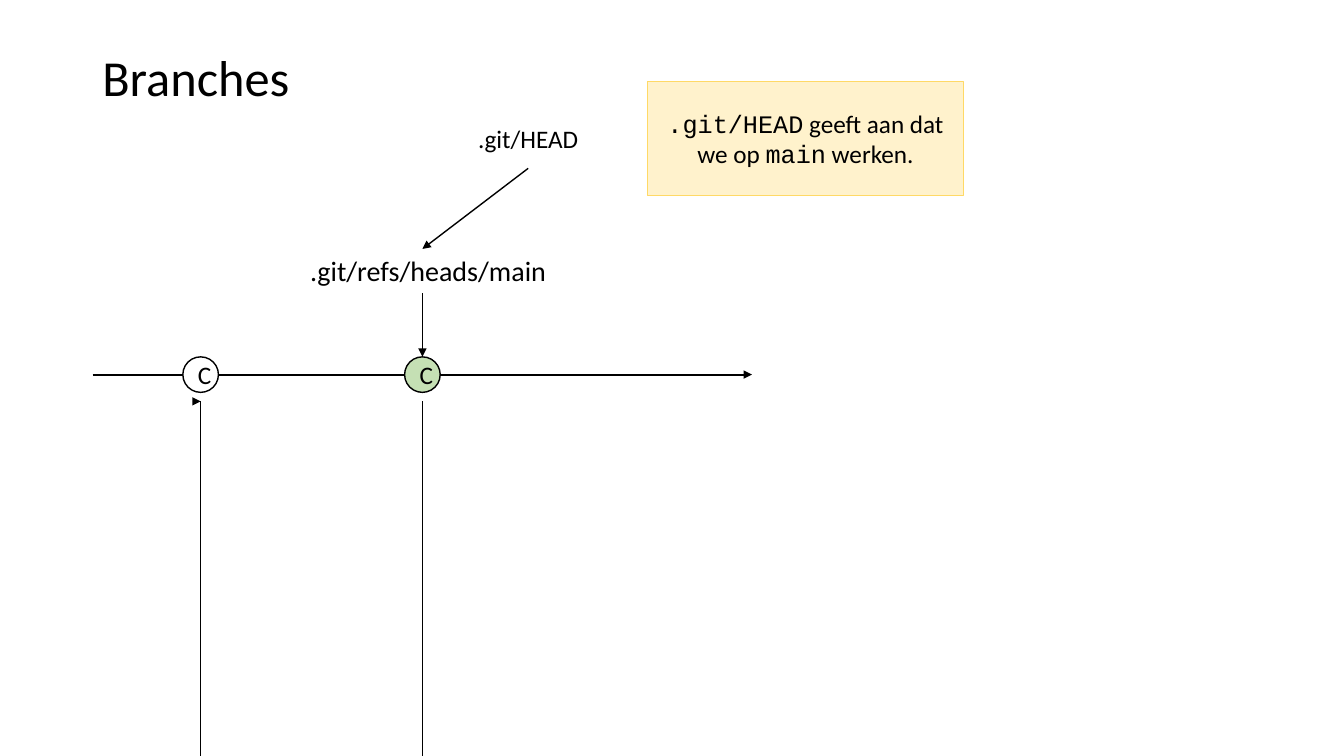
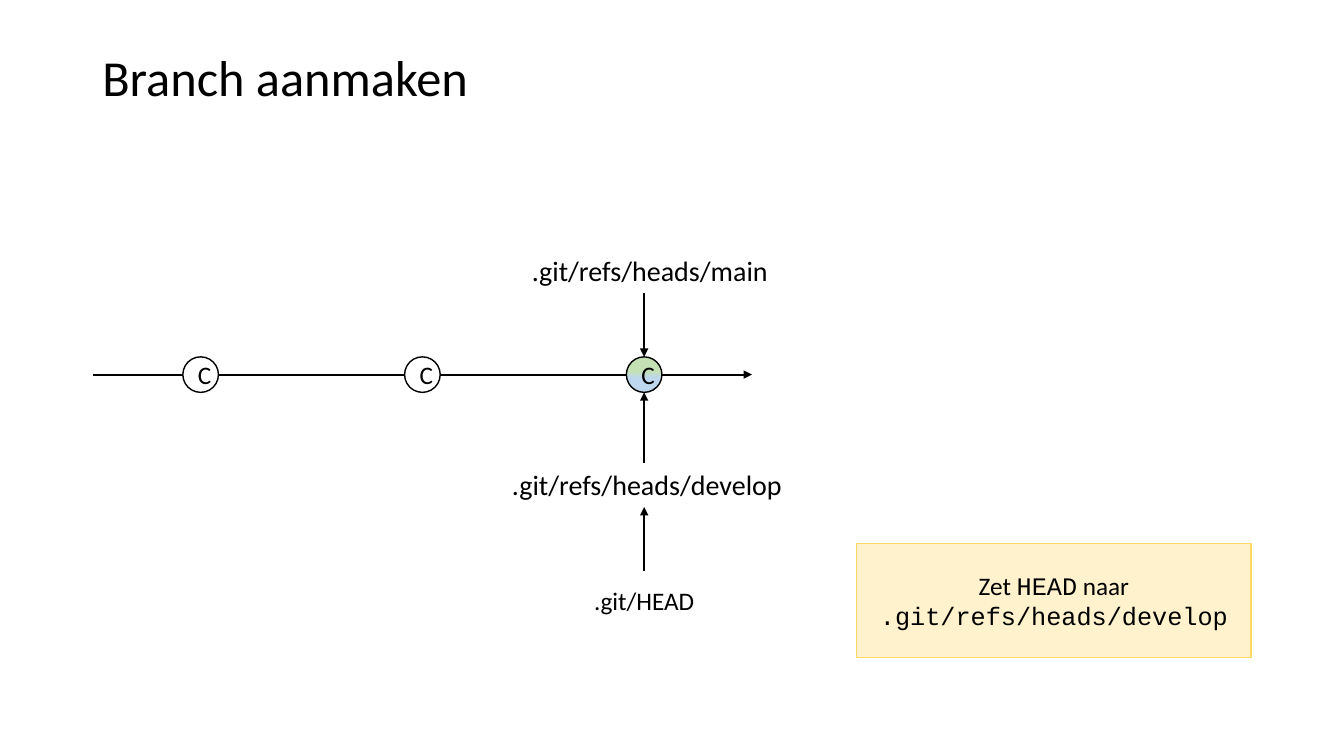
import pptx
import pptx.util
import pptx.dml.color
import pptx.enum.shapes
import pptx.enum.text
import pptx.oxml.ns
import lxml.etree

RGBColor = pptx.dml.color.RGBColor
BLACK = RGBColor(0x00, 0x00, 0x00)
WHITE = RGBColor(0xFF, 0xFF, 0xFF)
GREEN = RGBColor(0xC5, 0xE0, 0xB4)
BLUE = RGBColor(0xBD, 0xD7, 0xEE)
CREAM = RGBColor(0xFF, 0xF2, 0xCC)
GOLD = RGBColor(0xFF, 0xD9, 0x66)

BODY, CODE = "Calibri", "Courier New"
RECTANGLE = pptx.enum.shapes.MSO_SHAPE.RECTANGLE
OVAL = pptx.enum.shapes.MSO_SHAPE.OVAL
ALIGN = pptx.enum.text.PP_ALIGN
ANCHOR = pptx.enum.text.MSO_ANCHOR

deck = pptx.Presentation()
deck.slide_width = pptx.util.Inches(13.333)
deck.slide_height = pptx.util.Inches(7.5)

# Grid: all lengths are percentages of the slide's width or height
X, Y = deck.slide_width / 100, deck.slide_height / 100
COMMIT_COLUMNS = [14.93 + 16.5 * column for column in range(3)]
AXIS = 49.55
COMMIT_WIDTH, COMMIT_HEIGHT = 2.65, 4.7
COMMIT_TOP, COMMIT_BOTTOM = AXIS - COMMIT_HEIGHT / 2, AXIS + COMMIT_HEIGHT / 2
REF_HEIGHT = 5.87
MAIN_TOP, DEVELOP_TOP = 32.93, 61.2
HEAD_WIDTH, HEAD_HEIGHT = 14.7, 7.87
NOTE_HEIGHT = 15.07

# Text formats
TITLE = {"size": 36, "align": ALIGN.LEFT, "anchor": ANCHOR.MIDDLE, "spacing": 0.9}
REF = {"size": 20, "align": ALIGN.RIGHT, "anchor": ANCHOR.TOP, "spacing": 1.0}
LABEL = {"size": 18, "align": ALIGN.CENTER, "anchor": ANCHOR.MIDDLE, "spacing": 1.0}


def add_text(slide, centre, top, width, height, paragraphs, style, kind=None, fill=None, outline=None):
    """Box centred on a column; paragraphs are lists of (text, font) runs."""
    place = [round(v) for v in ((centre - width / 2) * X, top * Y, width * X, height * Y)]
    if kind is None:
        box = slide.shapes.add_textbox(*place)
    else:
        box = slide.shapes.add_shape(kind, *place)
        box.shadow.inherit = False
        box.line.color.rgb = outline
        box.line.width = pptx.util.Pt(1)
        if isinstance(fill, list):
            box.fill.gradient()
            box.fill.gradient_angle = 270
            for stop, (position, colour) in zip(box.fill.gradient_stops, fill):
                stop.position, stop.color.rgb = position, colour
        else:
            box.fill.solid()
            box.fill.fore_color.rgb = fill
    frame = box.text_frame
    for name, value in {"word_wrap": True, "vertical_anchor": style["anchor"]}.items():
        setattr(frame, name, value)
    for number, runs in enumerate(paragraphs):
        paragraph = frame.add_paragraph() if number else frame.paragraphs[0]
        paragraph.alignment = style["align"]
        paragraph.line_spacing = style["spacing"]
        for text, font in runs:
            run = paragraph.add_run()
            run.text = text
            for name, value in {"name": font, "size": pptx.util.Pt(style["size"])}.items():
                setattr(run.font, name, value)
            run.font.color.rgb = BLACK
    return box


def add_line(slide, x1, y1, x2, y2, width=1, arrow=True):
    ends = [round(v) for v in (x1 * X, y1 * Y, x2 * X, y2 * Y)]
    line = slide.shapes.add_connector(pptx.enum.shapes.MSO_CONNECTOR.STRAIGHT, *ends)
    line.line.color.rgb = BLACK
    line.line.width = pptx.util.Pt(width)
    if arrow:
        head = lxml.etree.SubElement(line.line._get_or_add_ln(), pptx.oxml.ns.qn("a:tailEnd"))
        head.set("type", "triangle")
    lxml.etree.SubElement(line._element.spPr, pptx.oxml.ns.qn("a:effectLst"))


# Shared parts: title, time axis, commits, and main pointing at the last commit
pages = [
    ("Branches", [WHITE, GREEN]),
    ("Branch aanmaken", [WHITE, WHITE, [(0.4, GREEN), (0.6, BLUE)]]),
]
slides = []
for title, commits in pages:
    slide = deck.slides.add_slide(deck.slide_layouts[6])
    slides.append(slide)
    add_text(slide, 50, 5.33, 86.25, 10.53, [[(title, BODY)]], TITLE)
    add_line(slide, 6.9, AXIS, 55.95, AXIS, width=1.5)
    for column, colour in zip(COMMIT_COLUMNS, commits):
        add_text(slide, column, COMMIT_TOP, COMMIT_WIDTH, COMMIT_HEIGHT,
                 [[("C", BODY)]], LABEL, OVAL, colour, BLACK)
    latest = COMMIT_COLUMNS[len(commits) - 1]
    add_text(slide, latest, MAIN_TOP, 19.88, REF_HEIGHT, [[(".git/refs/heads/main", BODY)]], REF)
    add_line(slide, latest, MAIN_TOP + REF_HEIGHT, latest, COMMIT_TOP)

branches, creation = slides
first, second, third = COMMIT_COLUMNS

# HEAD labels and explanatory notes
heads = [(branches, 39.3, 14.4), (creation, third, 75.47)]
for slide, centre, top in heads:
    add_text(slide, centre, top, HEAD_WIDTH, HEAD_HEIGHT, [[(".git/HEAD", BODY)]],
             LABEL, RECTANGLE, WHITE, WHITE)

notes = [
    (branches, 59.93, 10.8, 23.55, [[
        (".git/HEAD", CODE), (" geeft aan dat we op ", BODY), ("main", CODE), (" werken.", BODY)]]),
    (creation, 78.41, 71.87, 29.33, [
        [("Zet ", BODY), ("HEAD", CODE), (" naar", BODY)],
        [(".git/refs/heads/develop", CODE)]]),
]
for slide, centre, top, width, paragraphs in notes:
    add_text(slide, centre, top, width, NOTE_HEIGHT, paragraphs, LABEL, RECTANGLE, CREAM, GOLD)

# Branches: HEAD points at main, and the commits' link runs off the bottom edge
add_line(branches, 39.3, 14.4 + HEAD_HEIGHT, second, MAIN_TOP)
LINK_TOP = 53.1
for column in (first, second):
    add_line(branches, column, LINK_TOP, column, 100, arrow=False)
add_line(branches, first - 0.6, LINK_TOP, first, LINK_TOP)

# Branch aanmaken: HEAD points at develop, develop at the last commit
add_text(creation, third, DEVELOP_TOP, 21.98, REF_HEIGHT, [[(".git/refs/heads/develop", BODY)]], REF)
add_line(creation, third, DEVELOP_TOP, third, COMMIT_BOTTOM)
add_line(creation, third, 75.47, third, DEVELOP_TOP + REF_HEIGHT)

deck.save("out.pptx")
